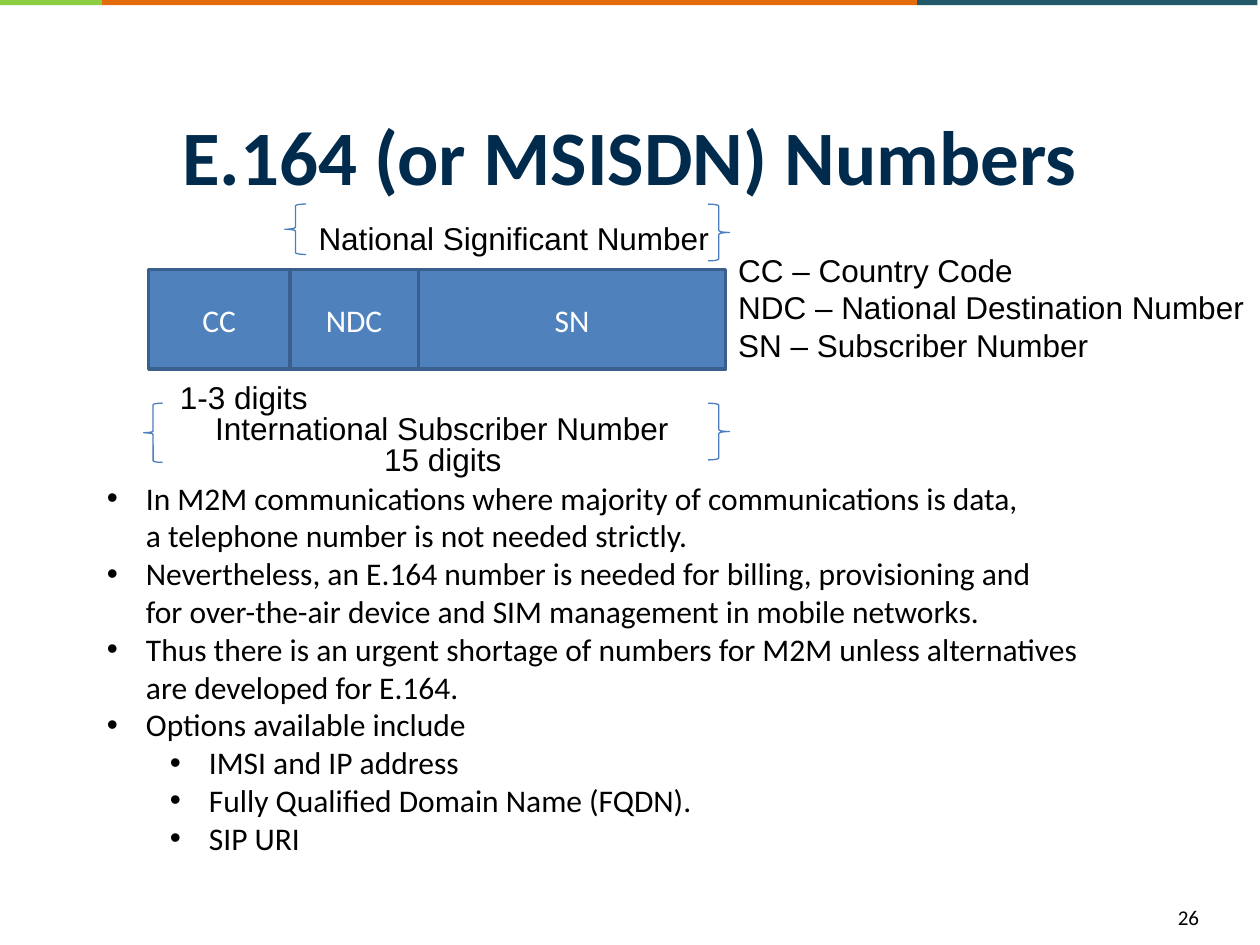
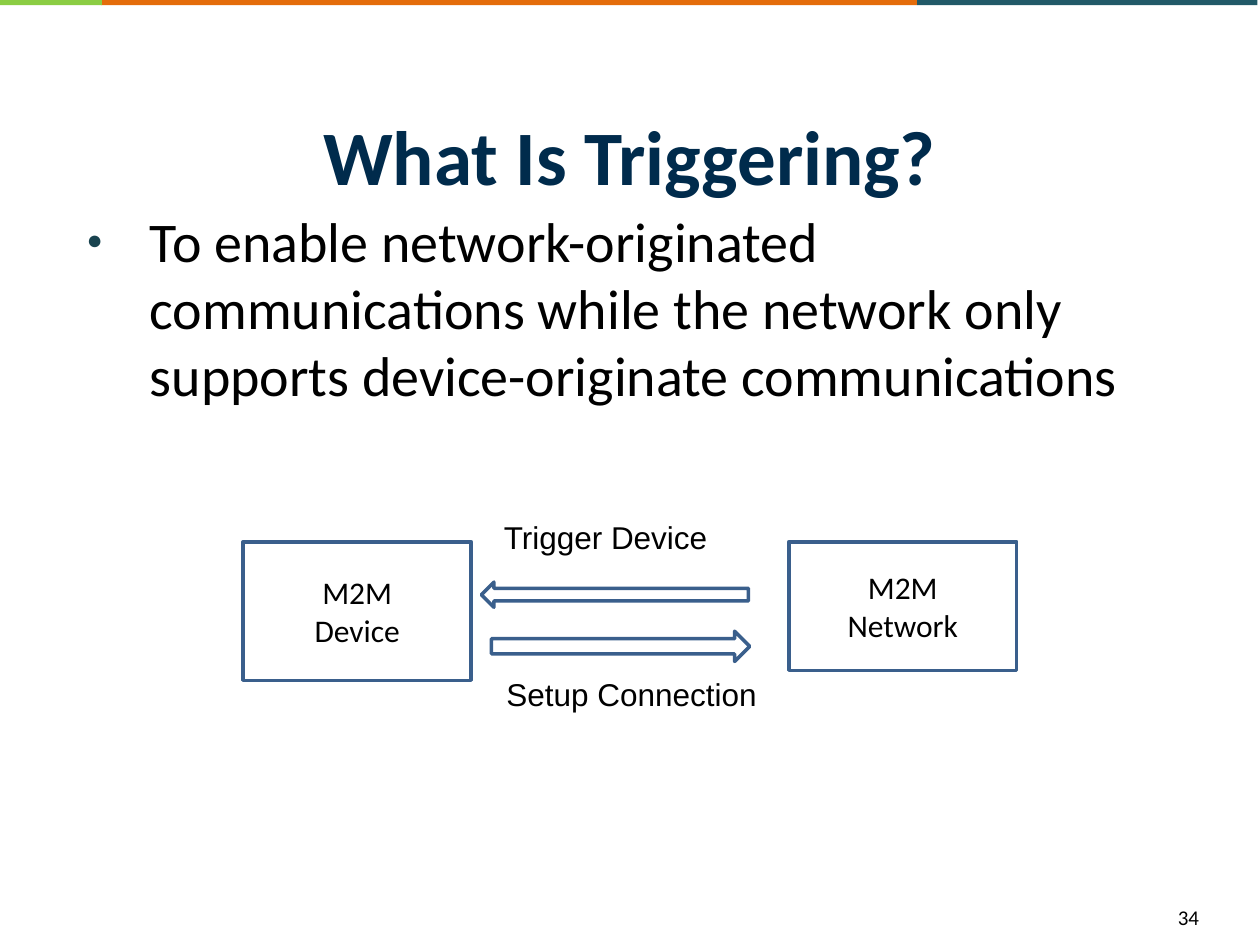
from lxml import etree
from pptx import Presentation
from pptx.dml.color import RGBColor
from pptx.enum import shapes, text
from pptx.oxml.ns import qn
from pptx.util import Inches, Pt

COLORS = {
    "orange": "E46C0A", "teal": "215968", "green": "8BCD43",
    "title": "002B4C", "black": "000000", "white": "FFFFFF",
    "field": "4F81BD", "outline": "3A5F8C", "brace": "4B7EBC", "bullet": "19434F",
}
SHAPE = shapes.MSO_SHAPE
LEFT, CENTER = text.PP_ALIGN.LEFT, text.PP_ALIGN.CENTER
TOP, MIDDLE = text.MSO_ANCHOR.TOP, text.MSO_ANCHOR.MIDDLE

PLAIN = {"font": {"name": "Calibri", "size": Pt(18), "bold": False},
         "color": "black", "align": LEFT, "anchor": TOP, "wrap": True}
LABEL = PLAIN | {"font": PLAIN["font"] | {"name": "Arial"}, "wrap": False}
TITLE = PLAIN | {"font": PLAIN["font"] | {"size": Pt(44), "bold": True},
                 "color": "title", "align": CENTER, "anchor": MIDDLE}
BODY = PLAIN | {"font": PLAIN["font"] | {"size": Pt(32)}}
NUMBER = PLAIN | {"font": PLAIN["font"] | {"size": Pt(12)}}
NODE = PLAIN | {"align": CENTER, "anchor": MIDDLE}
FIELD = NODE | {"color": "white"}

BANDS = [("orange", 0.8, 6.48), ("teal", 7.28, 2.7), ("green", -0.05, 0.86)]


def add_box(slide, box, lines=(), style=PLAIN, kind=None, fill=None, line=None, width=2):
    """Add a preset shape, or a text box when no kind is given, with one paragraph per line."""
    place = [Inches(value) for value in box]
    if kind is None:
        shape = slide.shapes.add_textbox(*place)
    else:
        shape = slide.shapes.add_shape(kind, *place)
        shape.shadow.inherit = False
        if fill:
            shape.fill.solid()
            shape.fill.fore_color.rgb = RGBColor.from_string(COLORS[fill])
        else:
            shape.fill.background()
        if line:
            shape.line.color.rgb = RGBColor.from_string(COLORS[line])
            shape.line.width = Pt(width)
        else:
            shape.line.fill.background()
    frame = shape.text_frame
    frame.word_wrap = style["wrap"]
    frame.vertical_anchor = style["anchor"]
    for index, content in enumerate(lines):
        paragraph = frame.add_paragraph() if index else frame.paragraphs[0]
        paragraph.text = content
        paragraph.alignment = style["align"]
        for run in paragraph.runs:
            for name, value in style["font"].items():
                setattr(run.font, name, value)
            run.font.color.rgb = RGBColor.from_string(COLORS[style["color"]])
    return shape


def add_bullet(paragraph, margin, hanging, symbol="•", color="black", percent=100):
    properties = paragraph._p.get_or_add_pPr()
    properties.set("marL", str(Inches(margin)))
    properties.set("indent", str(-Inches(hanging)))
    bullet_color = etree.SubElement(properties, qn("a:buClr"))
    etree.SubElement(bullet_color, qn("a:srgbClr"), val=COLORS[color])
    etree.SubElement(properties, qn("a:buSzPct"), val=str(percent * 1000))
    etree.SubElement(properties, qn("a:buFont"), typeface="Arial")
    etree.SubElement(properties, qn("a:buChar"), char=symbol)


presentation = Presentation()
presentation.slide_width, presentation.slide_height = Inches(10), Inches(7.5)

# Bands, title and page number shared by both slides
slides = []
for title, number in [("E.164 (or MSISDN) Numbers", "26"), ("What Is Triggering?", "34")]:
    slide = presentation.slides.add_slide(presentation.slide_layouts[6])
    for color, left, width in BANDS:
        add_box(slide, (left, -0.01, width, 0.05), kind=SHAPE.RECTANGLE, fill=color)
    add_box(slide, (0.5, 0.68, 9, 1.1), [title], TITLE)
    add_box(slide, (9.25, 7.13, 0.64, 0.4), [number], NUMBER)
    slides.append(slide)
numbers_slide, triggering_slide = slides

# E.164 numbers: bullets, where \v breaks a line within a point
points = [
    (0, "In M2M communications where majority of communications is data,\v"
        "a telephone number is not needed strictly."),
    (0, "Nevertheless, an E.164 number is needed for billing, provisioning and\v"
        "for over-the-air device and SIM management in mobile networks."),
    (0, "Thus there is an urgent shortage of numbers for M2M unless alternatives\v"
        "are developed for E.164."),
    (0, "Options available include"),
    (1, "IMSI and IP address"),
    (1, "Fully Qualified Domain Name (FQDN)."),
    (1, "SIP URI"),
]
point_box = add_box(numbers_slide, (0.75, 3.75, 8.65, 3.43), [point for _, point in points])
for (level, _), paragraph in zip(points, point_box.text_frame.paragraphs):
    paragraph.level = level
    add_bullet(paragraph, 0.31 + 0.5 * level, 0.31)

# Number fields, side by side
left = 1.18
for field, width in [("CC", 1.12), ("NDC", 1.02), ("SN", 2.44)]:
    add_box(numbers_slide, (left, 2.14, width, 0.79), [field], FIELD,
            SHAPE.RECTANGLE, "field", "outline")
    left += width

for box, lines in [
    ((5.76, 1.94, 4.26, 1.01), ["CC – Country Code", "NDC – National Destination Number",
                                "SN – Subscriber Number"]),
    ((1.33, 2.95, 1.23, 0.4), ["1-3 digits"]),
    ((2.43, 1.69, 3.33, 0.4), ["National Significant Number"]),
    ((1.61, 3.2, 3.83, 0.4), ["International Subscriber Number"]),
    ((2.95, 3.44, 1.14, 0.4), ["15 digits"]),
]:
    add_box(numbers_slide, box, lines, LABEL)

for kind, box in [
    (SHAPE.LEFT_BRACE, (2.26, 1.62, 0.17, 0.4)),
    (SHAPE.RIGHT_BRACE, (5.62, 1.62, 0.17, 0.45)),
    (SHAPE.LEFT_BRACE, (1.14, 3.2, 0.15, 0.47)),
    (SHAPE.RIGHT_BRACE, (5.62, 3.2, 0.17, 0.45)),
]:
    add_box(numbers_slide, box, kind=kind, line="brace", width=0.75)

# Triggering: statement and the exchange between device and network
statement = add_box(triggering_slide, (0.59, 1.59, 9, 4.95),
                    ["To enable network-originated communications while the network only "
                     "supports device-originate communications"], BODY)
paragraph = statement.text_frame.paragraphs[0]
paragraph.space_before = Pt(6.4)
add_bullet(paragraph, 0.5, 0.5, "●", "bullet", 48)

for kind, box, lines in [
    (SHAPE.RECTANGLE, (1.93, 4.3, 1.81, 1.1), ["M2M", "Device"]),
    (SHAPE.RECTANGLE, (6.26, 4.3, 1.81, 1.02), ["M2M", "Network"]),
    (SHAPE.LEFT_ARROW, (3.82, 4.62, 2.12, 0.2), []),
    (SHAPE.RIGHT_ARROW, (3.9, 5.01, 2.05, 0.24), []),
]:
    add_box(triggering_slide, box, lines, NODE, kind, line="outline")

add_box(triggering_slide, (3.9, 4.06, 1.83, 0.4), ["Trigger Device"], LABEL)
add_box(triggering_slide, (3.92, 5.31, 2.21, 0.4), ["Setup Connection"], LABEL)

presentation.save("out.pptx")
